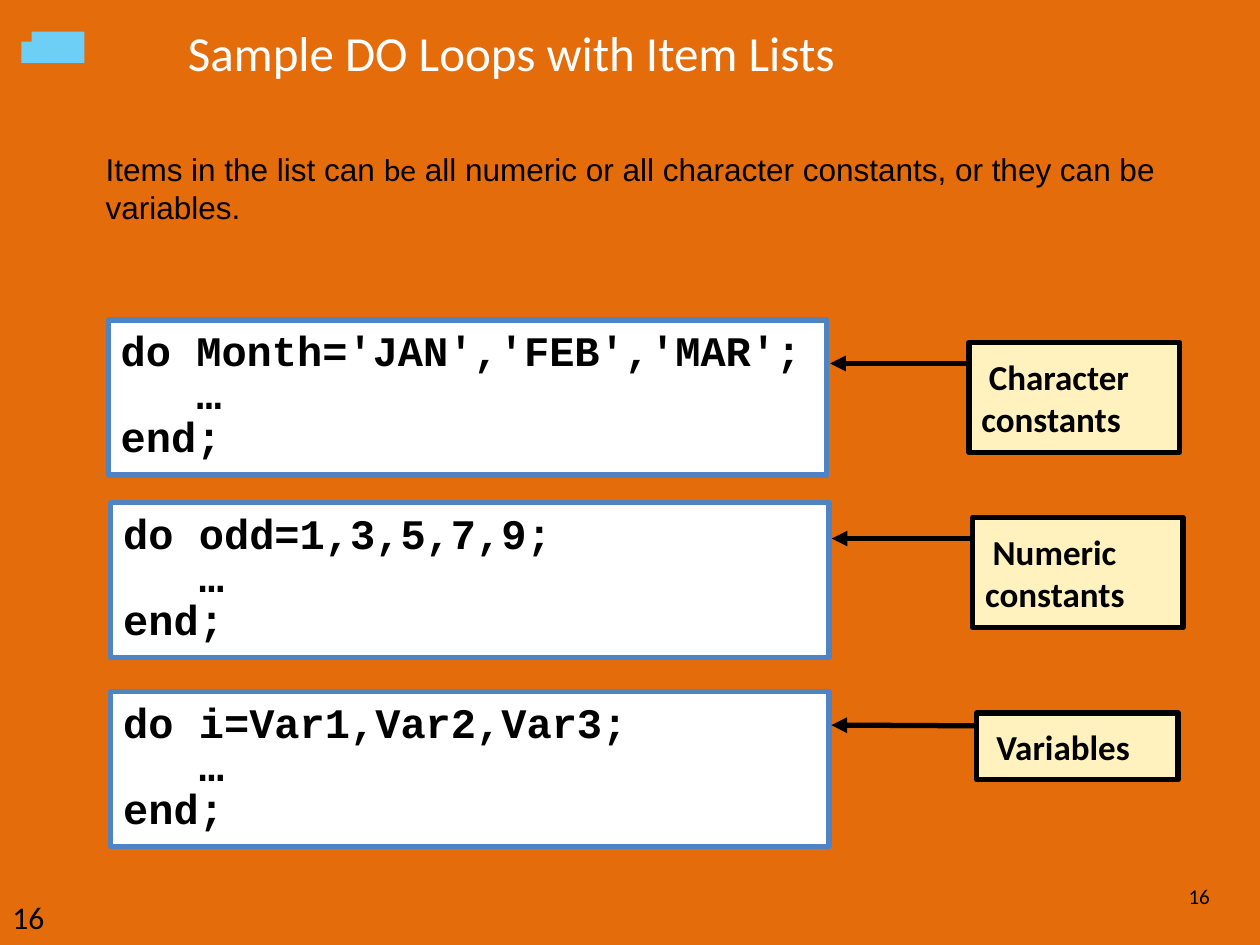
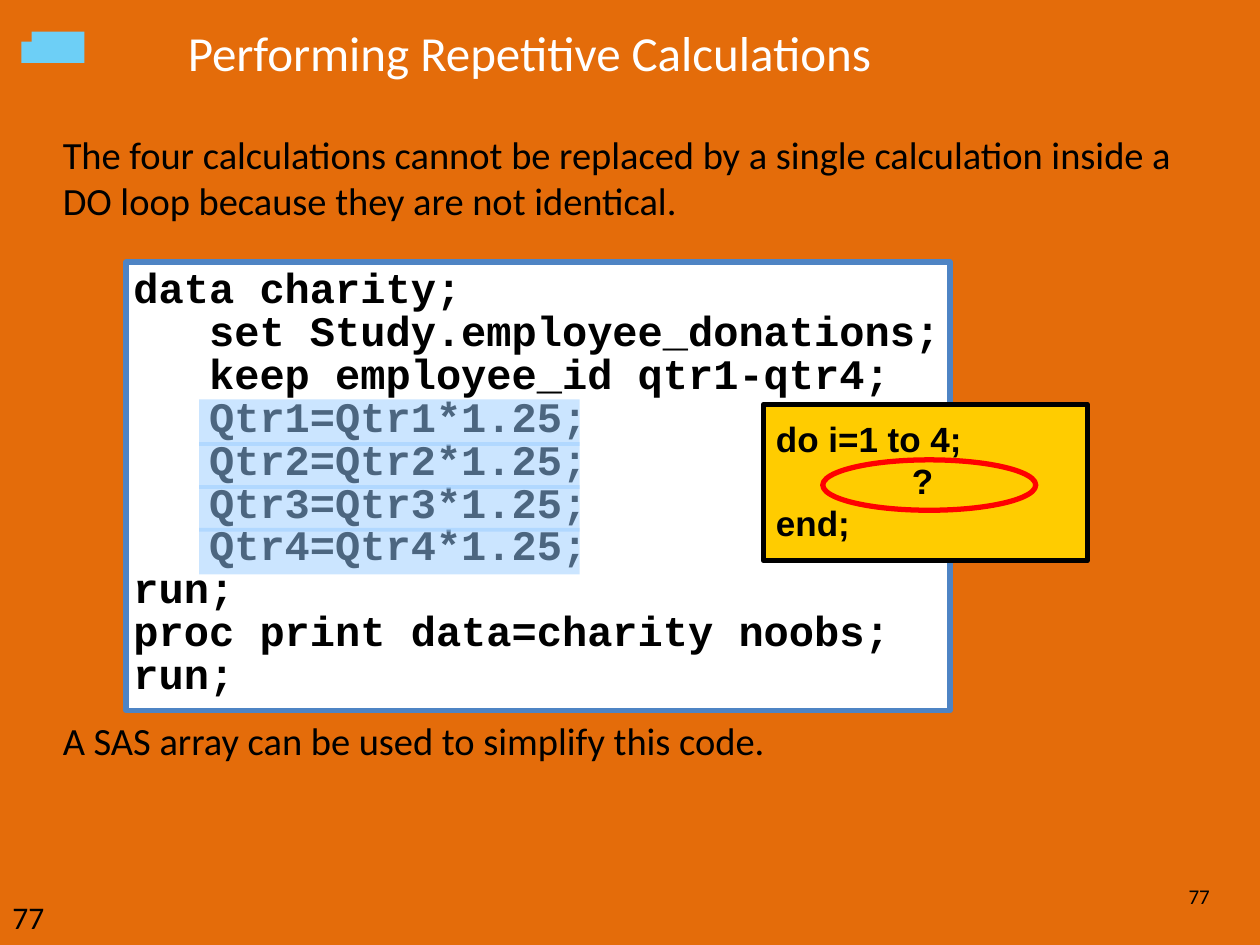
import lxml.etree
import pptx
import pptx.dml.color
import pptx.enum.shapes
import pptx.enum.text
import pptx.oxml.ns
import pptx.util

Inches = pptx.util.Inches
Pt = pptx.util.Pt
qn = pptx.oxml.ns.qn
SHAPE = pptx.enum.shapes.MSO_SHAPE
ANCHOR = pptx.enum.text.MSO_ANCHOR
ALIGN = pptx.enum.text.PP_ALIGN

HUES = {
    "back": "E46C0A", "badge": "6DCFF6", "white": "FFFFFF", "black": "000000",
    "frame": "4E84C4", "cream": "FFF2BE", "gold": "FFCC00", "glow": "99CCFF",
    "red": "FF0000",
}


def hue(name):
    """Return the named colour."""
    return pptx.dml.color.RGBColor.from_string(HUES[name])


def write(frame, lines, size=18, font="Calibri", color="black", bold=False,
          align=ALIGN.LEFT, anchor=ANCHOR.TOP, inset=None, space=None,
          indent=0, wrap=True):
    """Fill a frame; a line is a string or a list of (text, font) runs."""
    frame.word_wrap = wrap
    frame.vertical_anchor = anchor
    if inset is not None:
        frame.margin_left = frame.margin_right = Inches(inset)
        frame.margin_top = frame.margin_bottom = Inches(inset)
    for i, line in enumerate(lines):
        para = frame.add_paragraph() if i else frame.paragraphs[0]
        para.alignment = align
        if space:
            para.line_spacing = space
        if indent:
            para._p.get_or_add_pPr().set("indent", str(Inches(indent)))
        for text, face in [(line, font)] if isinstance(line, str) else line:
            run = para.add_run()
            run.text = text
            run.font.name = face
            run.font.size = Pt(size)
            run.font.bold = bold
            run.font.color.rgb = hue(color)


def label(slide, box, lines, **style):
    """Add a text box."""
    text = slide.shapes.add_textbox(*map(Inches, box))
    write(text.text_frame, lines, **style)


def block(slide, box, fill=None, line=None, kind=SHAPE.RECTANGLE):
    """Add a shape with a plain fill and a 3 point line, or none."""
    shape = slide.shapes.add_shape(kind, *map(Inches, box))
    shape.shadow.inherit = False
    if fill:
        shape.fill.solid()
        shape.fill.fore_color.rgb = hue(fill)
    else:
        shape.fill.background()
    if line:
        shape.line.color.rgb = hue(line)
        shape.line.width = Pt(3)
    else:
        shape.line.fill.background()
    return shape


def code(slide, box, lines, **style):
    """Add a framed code listing."""
    shape = block(slide, box, "white", "frame")
    write(shape.text_frame, lines, size=24, font="Courier New", bold=True,
          space=0.85, **style)


def callout(slide, box, text, end):
    """Add a callout whose arrow ends at a (down, across) share of its box."""
    shape = block(slide, box, "cream", "black", SHAPE.LINE_CALLOUT_2)
    for i, value in enumerate((0.19, 0, 0.19, -0.08, *end)):
        shape.adjustments[i] = value
    line = shape._element.spPr.find(qn("a:ln"))
    lxml.etree.SubElement(line, qn("a:tailEnd"), type="triangle")
    write(shape.text_frame, [text], size=20, bold=True, inset=0.1, indent=0.06)


def glow(slide, box):
    """Add a half transparent highlight."""
    shape = block(slide, box, "glow")
    color = shape._element.spPr.find(".//" + qn("a:srgbClr"))
    lxml.etree.SubElement(color, qn("a:alpha"), val="50000")


def start(deck, title, page):
    """Add a slide with the shared badge, title and page numbers."""
    slide = deck.slides.add_slide(deck.slide_layouts[5])
    slide.background.fill.solid()
    slide.background.fill.fore_color.rgb = hue("back")
    for box in ((0.25, 0.25, 0.42, 0.25), (0.17, 0.33, 0.17, 0.17)):
        block(slide, box, "badge")
    head = slide.shapes.title
    head.left, head.top, head.width, head.height = map(
        Inches, (1.39, 0.12, 8.35, 0.58))
    write(head.text_frame, [title], size=28, color="white", anchor=ANCHOR.MIDDLE)
    label(slide, (8.97, 6.92, 0.73, 0.39), [page], size=12,
          align=ALIGN.RIGHT, anchor=ANCHOR.MIDDLE)
    label(slide, (0, 7.08, 0.58, 0.42), [page])
    return slide


def lists(deck):
    """Build the slide of loops with item lists."""
    slide = start(deck, "Sample DO Loops with Item Lists", "16")
    label(slide, (0.74, 1.14, 8.56, 1.01), [[
        ("Items in the list can ", "Arial"), ("be", "Calibri"),
        (" all numeric or all character constants, or they can be variables.",
         "Arial")]])
    loops = (
        (0.86, 2.54, "do Month='JAN','FEB','MAR';", "Character constants",
         (7.69, 2.72, 1.67, 0.87), (0.19, -0.66)),
        (0.88, 3.99, "do odd=1,3,5,7,9;", "Numeric constants",
         (7.72, 4.11, 1.67, 0.87), (0.19, -0.67)),
        (0.88, 5.49, "do i=Var1,Var2,Var3;", "Variables",
         (7.75, 5.66, 1.6, 0.53), (0.18, -0.72)),
    )
    for left, top, loop, note, box, end in loops:
        code(slide, (left, top, 5.7, 1.23), [loop, "   …", "end;"], inset=0.1)
        callout(slide, box, note, end)


def query(slide, left, top):
    """Add the loop box with its circled question mark."""
    shape = block(slide, (left, top, 2.57, 1.24), "gold", "black")
    write(shape.text_frame, ["do i=1 to 4;", "              ?", "end;"],
          size=20, font="Arial", bold=True, inset=0.1)
    block(slide, (left + 0.47, top + 0.44, 1.69, 0.4), line="red",
          kind=SHAPE.OVAL)


def maths(deck):
    """Build the slide of repeated calculations."""
    slide = start(deck, "Performing Repetitive Calculations", "77")
    label(slide, (0.4, 0.99, 9.27, 0.85), [
        "The four calculations cannot be replaced by a single calculation "
        "inside a DO loop because they are not identical."], size=22)
    label(slide, (0.4, 5.64, 9.27, 0.47),
          ["A SAS array can be used to simplify this code."], size=22)
    sums = [f"   Qtr{n}=Qtr{n}*1.25;" for n in range(1, 5)]
    left, top = 1, 2.08
    code(slide, (left, top, 6.54, 3.56), [
        "data charity;", "   set Study.employee_donations;",
        "   keep employee_id qtr1-qtr4;", *sums, "run;",
        "proc print data=charity noobs;", "run;"], inset=0.06, wrap=False)
    for i in range(len(sums)):
        glow(slide, (left + 0.58, top + 1.09 + 0.34 * i, 3.02, 0.37))
    query(slide, 6.06, 3.21)


def main():
    """Build and save the deck."""
    deck = pptx.Presentation()
    deck.slide_width, deck.slide_height = Inches(10), Inches(7.5)
    lists(deck)
    maths(deck)
    deck.save("out.pptx")


if __name__ == "__main__":
    main()
